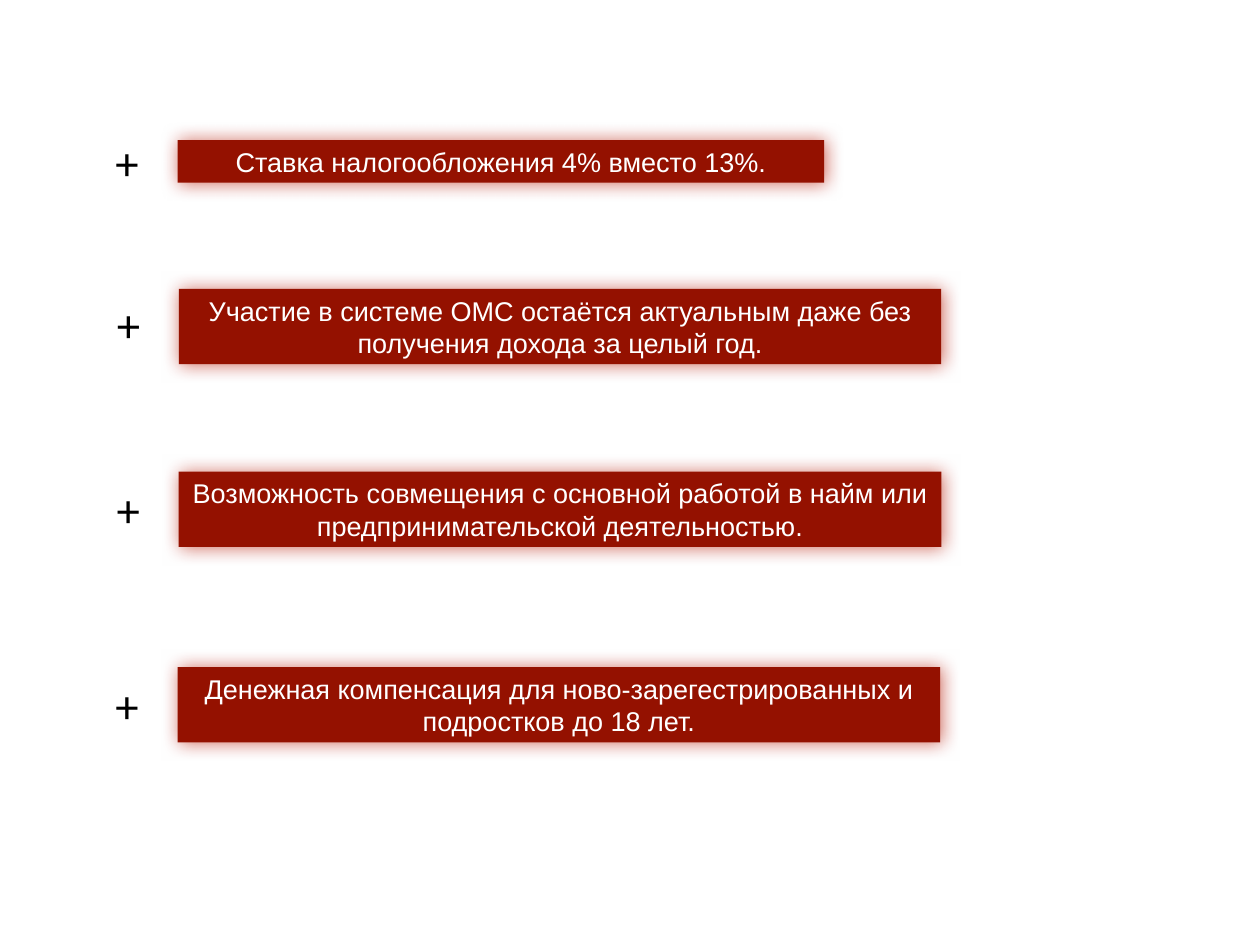
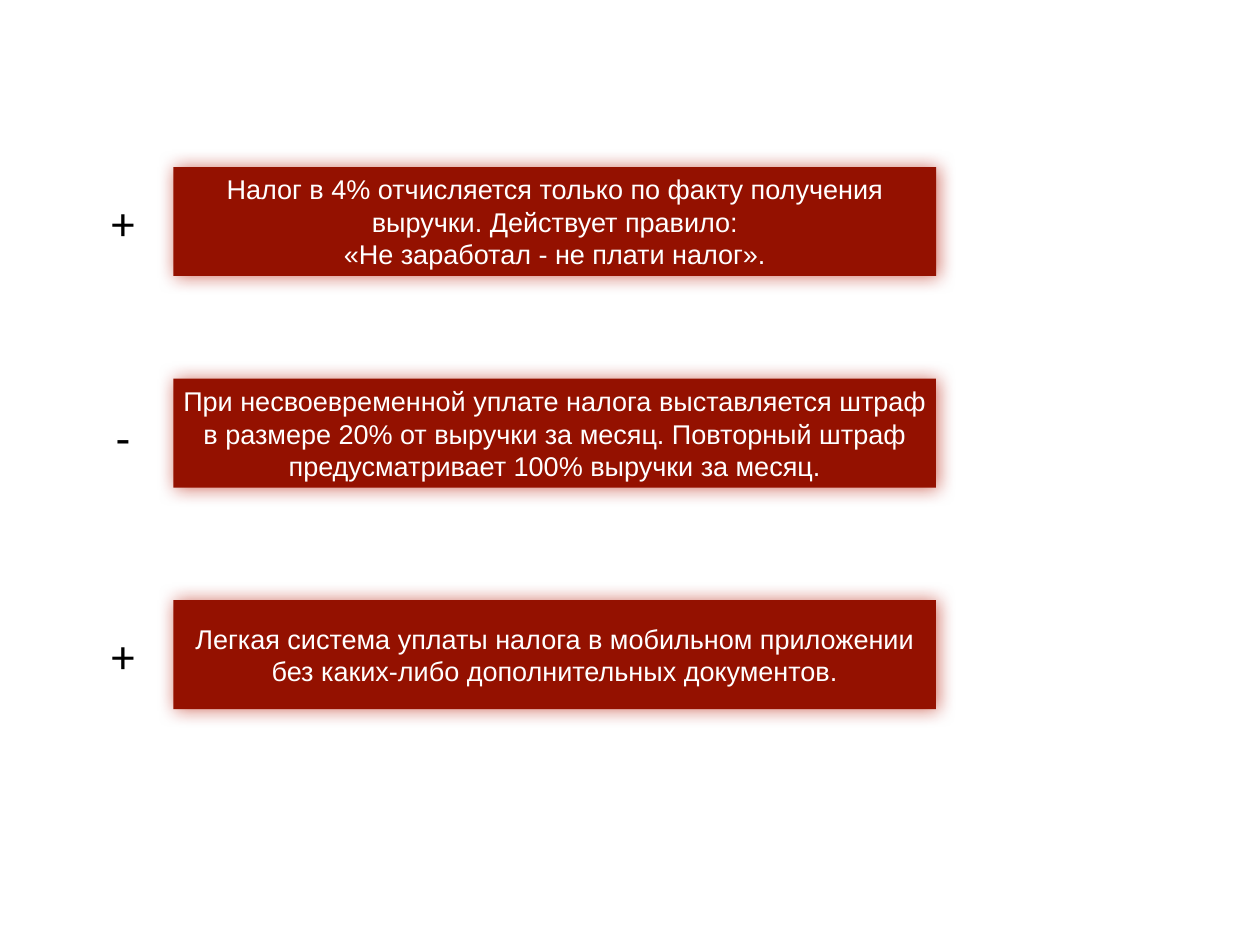
from dataclasses import dataclass

from lxml import etree
from pptx import Presentation
from pptx.dml.color import RGBColor
from pptx.enum.shapes import MSO_SHAPE
from pptx.enum.text import MSO_ANCHOR, MSO_AUTO_SIZE, PP_ALIGN
from pptx.oxml.ns import qn
from pptx.util import Pt

RECTANGLE = MSO_SHAPE.RECTANGLE
MIDDLE = MSO_ANCHOR.MIDDLE
FIT_TEXT = MSO_AUTO_SIZE.SHAPE_TO_FIT_TEXT
CENTER = PP_ALIGN.CENTER
BLANK_LAYOUT = 6


@dataclass(frozen=True)
class Theme:
    bar: RGBColor = RGBColor(0x94, 0x11, 0x00)
    bar_text: RGBColor = RGBColor(0xFF, 0xFF, 0xFF)
    sign_text: RGBColor = RGBColor(0x00, 0x00, 0x00)
    glow: str = "B51600"
    bar_font: str = "Arial"
    sign_font: str = "Calibri"
    bar_size: float = 22
    bar_leading: float = 26.4
    sign_size: float = 38
    inset: float = 4


THEME = Theme()

# Sign boxes are centred this far left of the bar's edge
SIGN_OFFSET = 41
SIGN_HEIGHT = 46
SIGN_WIDTHS = {"+": 28, "-": 22}

# Each row: sign, sign's shift from the bar's middle, bar left, top, width, height, paragraphs
SLIDES = [
    [
        ("+", 0, 144.3, 113.8, 525.6, 34.6,
         ["Ставка налогообложения 4% вместо 13%."]),
        ("+", -2.5, 145.4, 234.7, 619.5, 61.2,
         ["Участие в системе ОМС остаётся актуальным даже без получения дохода за целый год."]),
        ("+", 0, 145.2, 383.2, 619.8, 61.2,
         ["Возможность совмещения с основной работой в найм или предпринимательской "
          "деятельностью."]),
        ("+", 0, 144.3, 542.2, 619.8, 61.2,
         ["Денежная компенсация для ново-зарегестрированных и подростков до 18 лет."]),
    ],
    [
        ("+", 0, 141, 135.8, 619.8, 88.5,
         ["Налог в 4% отчисляется только по факту получения выручки. Действует правило:",
          "«Не заработал - не плати налог»."]),
        ("-", 3, 141, 307.8, 619.5, 88.5,
         ["При несвоевременной уплате налога выставляется штраф в размере 20% от выручки "
          "за месяц. Повторный штраф предусматривает 100% выручки за месяц."]),
        ("+", 0, 141, 487.8, 619.5, 88.5,
         ["Легкая система уплаты налога в мобильном приложении без каких-либо "
          "дополнительных документов."]),
    ],
]


def write_text(box, paragraphs, font, size, color, wrap, leading=None):
    frame = box.text_frame
    frame.margin_left = frame.margin_right = Pt(THEME.inset)
    frame.margin_top = frame.margin_bottom = Pt(THEME.inset)
    frame.vertical_anchor = MIDDLE
    frame.word_wrap = wrap
    frame.auto_size = FIT_TEXT
    for index, text in enumerate(paragraphs):
        para = frame.add_paragraph() if index else frame.paragraphs[0]
        para.alignment = CENTER
        if leading:
            para.line_spacing = Pt(leading)
        span = para.add_run()
        span.text = text
        span.font.name = font
        span.font.size = Pt(size)
        span.font.color.rgb = color


def add_glow(shape):
    shape.shadow.inherit = False
    effects = shape.element.spPr.find(qn("a:effectLst"))
    shadow = etree.SubElement(effects, qn("a:outerShdw"), blurRad=str(Pt(15)),
                              dist=str(Pt(1)), dir="0", rotWithShape="0")
    color = etree.SubElement(shadow, qn("a:srgbClr"), val=THEME.glow)
    etree.SubElement(color, qn("a:alpha"), val="62000")


deck = Presentation()
deck.slide_width = Pt(1024)
deck.slide_height = Pt(768)

for rows in SLIDES:
    page = deck.slides.add_slide(deck.slide_layouts[BLANK_LAYOUT])
    for sign, shift, left, top, width, height, paragraphs in rows:
        # Red bar with the statement
        bar = page.shapes.add_shape(RECTANGLE, Pt(left), Pt(top), Pt(width), Pt(height))
        bar.fill.solid()
        bar.fill.fore_color.rgb = THEME.bar
        bar.line.fill.background()
        add_glow(bar)
        write_text(bar, paragraphs, THEME.bar_font, THEME.bar_size, THEME.bar_text,
                   True, THEME.bar_leading)

        # Plus or minus beside the bar
        sign_width = SIGN_WIDTHS[sign]
        sign_left = left - SIGN_OFFSET - sign_width / 2
        sign_top = top + (height - SIGN_HEIGHT) / 2 + shift
        sign_box = page.shapes.add_textbox(Pt(sign_left), Pt(sign_top),
                                           Pt(sign_width), Pt(SIGN_HEIGHT))
        write_text(sign_box, [sign], THEME.sign_font, THEME.sign_size, THEME.sign_text, False)

deck.save("out.pptx")
